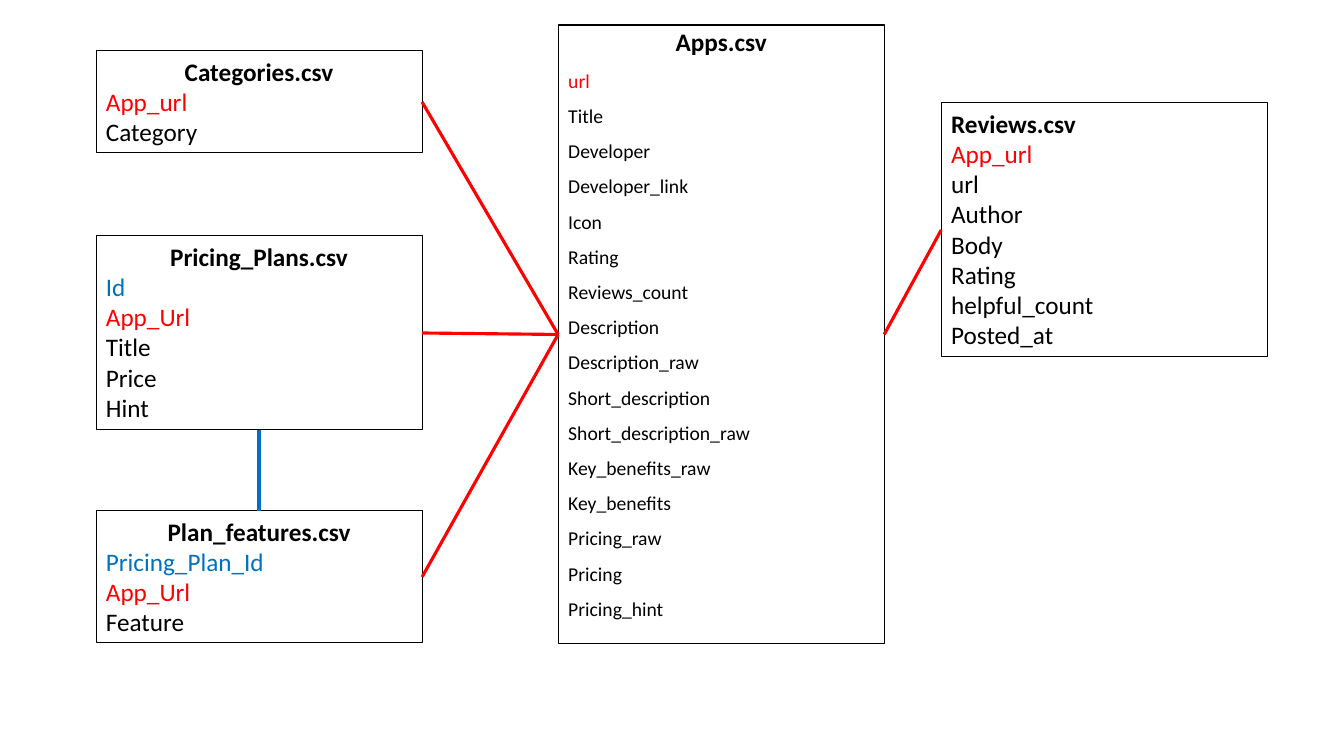
from dataclasses import dataclass
from enum import IntEnum

from lxml.etree import SubElement
from pptx import Presentation
from pptx.dml.color import RGBColor
from pptx.enum.shapes import MSO_CONNECTOR as Connector
from pptx.enum.text import MSO_ANCHOR as Anchor, MSO_AUTO_SIZE as AutoSize, PP_ALIGN as Align
from pptx.oxml.ns import qn
from pptx.util import Inches, Pt

SCALE = Inches(1) / 100.8


@dataclass(frozen=True)
class Theme:
    font: str = "Calibri"
    ink: RGBColor = RGBColor(0, 0, 0)
    app_key: RGBColor = RGBColor(0xFF, 0, 0)
    plan_key: RGBColor = RGBColor(0, 0x70, 0xC0)
    paper: RGBColor = RGBColor(0xFF, 0xFF, 0xFF)
    heading: int = 18
    small: int = 14
    border: float = 0.75
    link: float = 2.25


THEME = Theme()


class Side(IntEnum):
    TOP = 0
    LEFT = 1
    BOTTOM = 2
    RIGHT = 3


@dataclass(frozen=True)
class CsvFile:
    name: str
    left: int
    top: int
    height: int
    fields: str
    app_key: str
    plan_key: str = ""
    size: int = THEME.heading
    align: Align = Align.CENTER
    width: int = 326


@dataclass(frozen=True)
class Link:
    start: str
    start_side: Side
    end: str
    end_side: Side
    color: RGBColor = THEME.app_key


FILES = [
    CsvFile("Categories.csv", 96, 51, 102, "App_url Category", "App_url"),
    CsvFile("Apps.csv", 558, 25, 619,
            "url Title Developer Developer_link Icon Rating Reviews_count Description "
            "Description_raw Short_description Short_description_raw Key_benefits_raw "
            "Key_benefits Pricing_raw Pricing Pricing_hint", "url", size=THEME.small),
    CsvFile("Plan_features.csv", 96, 511, 132, "Pricing_Plan_Id App_Url Feature",
            "App_Url", "Pricing_Plan_Id"),
    CsvFile("Pricing_Plans.csv", 96, 236, 194, "Id App_Url Title Price Hint",
            "App_Url", "Id"),
    CsvFile("Reviews.csv", 941, 103, 254,
            "App_url url Author Body Rating helpful_count Posted_at", "App_url",
            align=Align.LEFT),
]

LINKS = [
    Link("Categories.csv", Side.RIGHT, "Apps.csv", Side.LEFT),
    Link("Plan_features.csv", Side.RIGHT, "Apps.csv", Side.LEFT),
    Link("Pricing_Plans.csv", Side.RIGHT, "Apps.csv", Side.LEFT),
    Link("Reviews.csv", Side.LEFT, "Apps.csv", Side.RIGHT),
    Link("Pricing_Plans.csv", Side.BOTTOM, "Plan_features.csv", Side.TOP, THEME.plan_key),
]


def px(value: int) -> int:
    return round(value * SCALE)


def write_line(para, text: str, *, size: int, color: RGBColor = THEME.ink,
               bold: bool = False, align: Align = Align.LEFT,
               spacing: float = 1.0, before: int = 0) -> None:
    para.alignment = align
    para.line_spacing = spacing
    para.space_before = Pt(before)
    span = para.add_run()
    span.text = text
    span.font.name = THEME.font
    span.font.size = Pt(size)
    span.font.bold = bold
    span.font.color.rgb = color


def remove_bullet(para) -> None:
    properties = para._p.get_or_add_pPr()
    properties.set("marL", "0")
    properties.set("indent", "0")
    SubElement(properties, qn("a:buNone"))


def fill_box(box, file: CsvFile, *, is_body: bool) -> None:
    box.left, box.top = px(file.left), px(file.top)
    box.width, box.height = px(file.width), px(file.height)
    box.line.color.rgb = THEME.ink
    box.line.width = Pt(THEME.border)
    frame = box.text_frame
    frame.word_wrap = True
    frame.vertical_anchor = Anchor.TOP
    frame.auto_size = AutoSize.NONE if is_body else AutoSize.SHAPE_TO_FIT_TEXT

    rhythm = {"spacing": 0.9, "before": 10} if is_body else {}
    write_line(frame.paragraphs[0], file.name, size=THEME.heading, bold=True,
               align=file.align, **rhythm)
    key_colors = {file.app_key: THEME.app_key, file.plan_key: THEME.plan_key}
    for field in file.fields.split():
        write_line(frame.add_paragraph(), field, size=file.size,
                   color=key_colors.get(field, THEME.ink), **rhythm)
    if is_body:
        for para in frame.paragraphs:
            remove_bullet(para)


def draw_link(page, link: Link, boxes: dict) -> None:
    line = page.shapes.add_connector(Connector.STRAIGHT, 0, 0, 0, 0)
    line.begin_connect(boxes[link.start], link.start_side)
    line.end_connect(boxes[link.end], link.end_side)
    line.line.color.rgb = link.color
    line.line.width = Pt(THEME.link)
    SubElement(line._element.spPr, qn("a:effectLst"))


# Page with the body placeholder only
deck = Presentation()
deck.slide_width, deck.slide_height = Inches(13.33), Inches(7.5)
page = deck.slides.add_slide(deck.slide_layouts.get_by_name("Title and Content"))
page.background.fill.solid()
page.background.fill.fore_color.rgb = THEME.paper
title = page.shapes.title._element
title.getparent().remove(title)

# File boxes: the central file uses the body placeholder
boxes = {}
for file in FILES:
    is_body = file.name == "Apps.csv"
    box = page.placeholders[1] if is_body else page.shapes.add_textbox(0, 0, 0, 0)
    fill_box(box, file, is_body=is_body)
    boxes[file.name] = box

# Key relations
for link in LINKS:
    draw_link(page, link, boxes)

deck.save("out.pptx")
